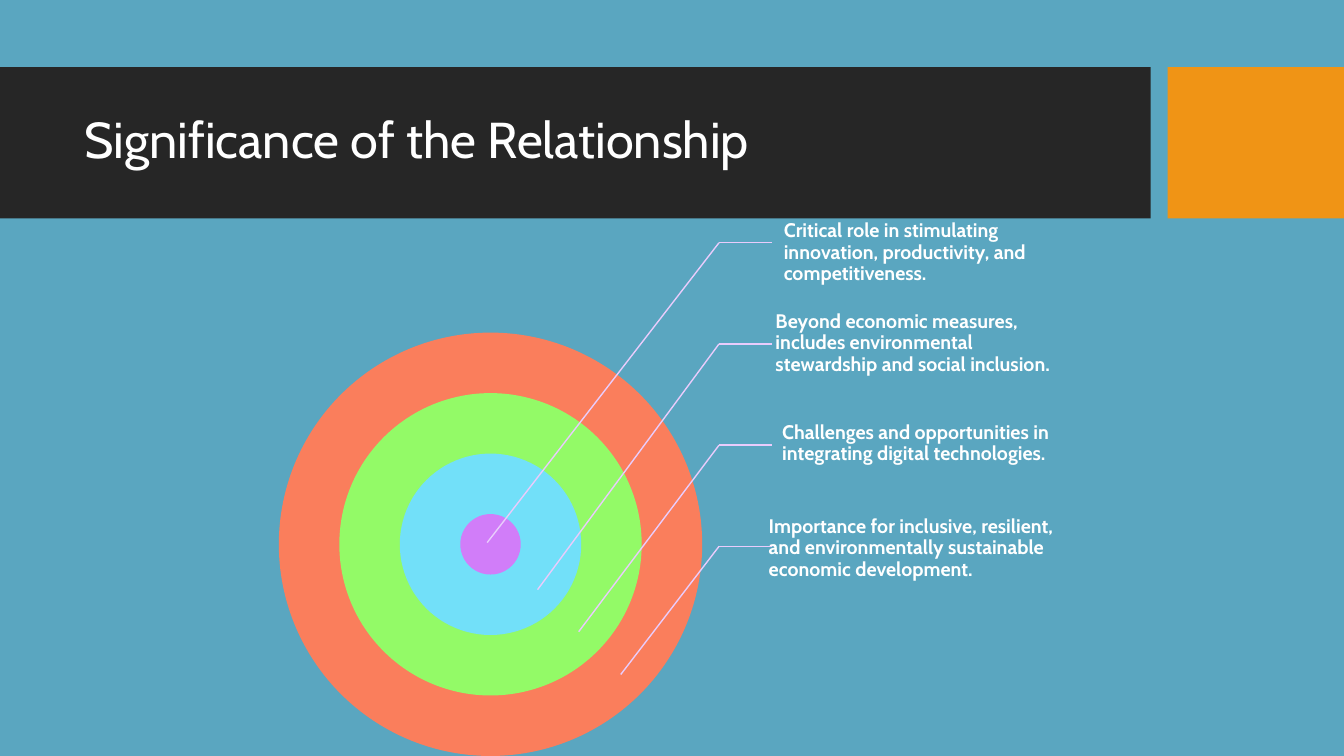
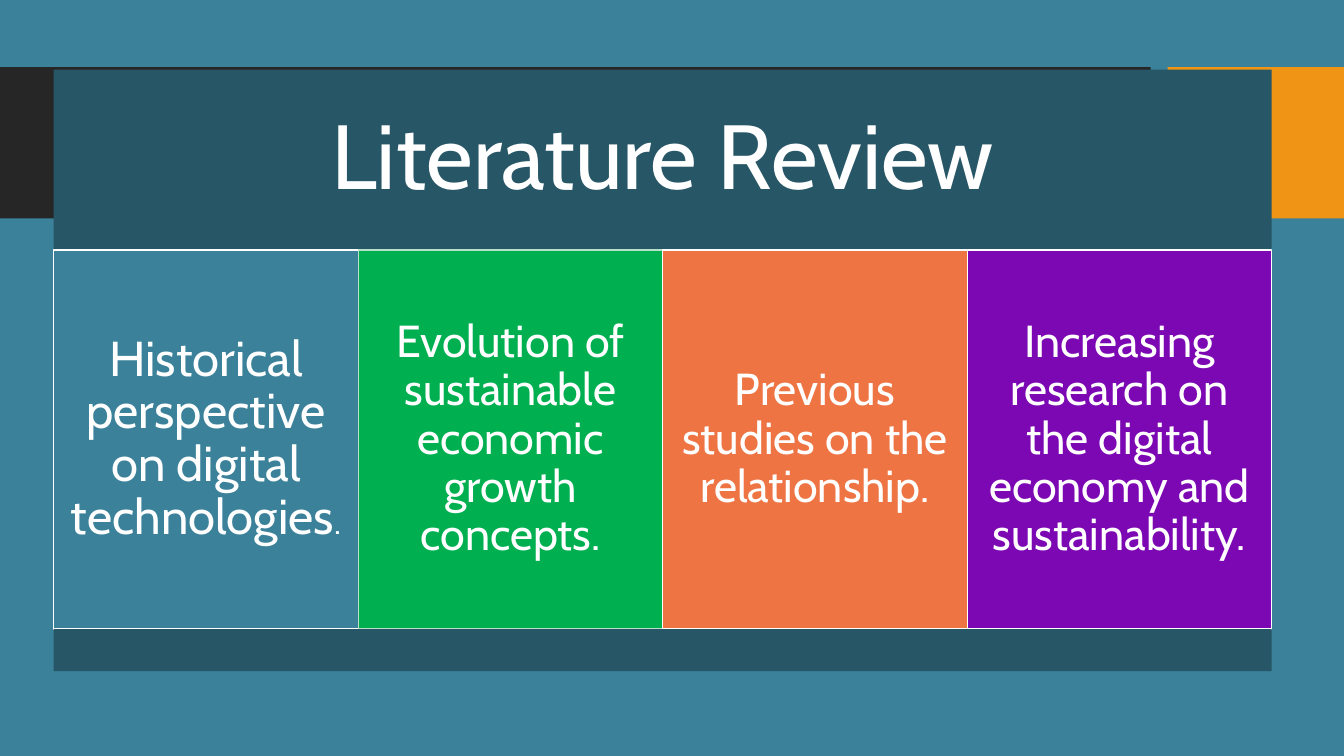
"""Build two slides: a ring diagram with callouts and a four-column panel."""
from dataclasses import dataclass

from lxml import etree
from pptx import Presentation
from pptx import util as u
from pptx.dml.color import RGBColor
from pptx.enum import shapes, text
from pptx.oxml.ns import qn

COLUMNS, ROWS = 160, 90
CELL = u.Inches(1) / 12


@dataclass(frozen=True)
class Theme:
    """Colours, font and type sizes shared by the slides."""
    font: str = "Cabin"
    white: str = "FFFFFF"
    band: str = "262626"
    accent: str = "F09415"
    sky: str = "5AA6C0"
    teal: str = "3A8199"
    deep_teal: str = "275666"
    green: str = "00B050"
    pale_green: str = "B6E0C7"
    orange: str = "EE7444"
    purple: str = "7C08B3"
    leader: str = "E9CCFC"
    rings: tuple = ("FA7E5C", "93FA67", "72E0F9", "D17DF9")
    title_size: int = 36
    label_size: int = 14
    header_size: int = 65
    first_column_size: int = 35
    column_size: int = 32
    full_stop_size: int = 24


THEME = Theme()


@dataclass(frozen=True)
class Box:
    """A region measured in grid cells."""
    left: float
    top: float
    width: float
    height: float

    def offset(self, dx, dy, width, height):
        """Return a region offset from this box by grid cells."""
        return Box(self.left + dx, self.top + dy, width, height)

    def share(self, x, y, width, height):
        """Return a region given as shares of this box."""
        return self.offset(x * self.width, y * self.height,
                           width * self.width, height * self.height)

    def emu(self):
        """Return left, top, width and height in slide units."""
        return [round(side * CELL)
                for side in (self.left, self.top, self.width, self.height)]


def rgb(colour):
    """Return a colour object for a hex string."""
    return RGBColor.from_string(colour)


def add_block(slide, box, fill, outline=None, kind=shapes.MSO_SHAPE.RECTANGLE):
    """Add a flat filled shape, outlined on request."""
    block = slide.shapes.add_shape(kind, *box.emu())
    block.shadow.inherit = False
    block.fill.solid()
    block.fill.fore_color.rgb = rgb(fill)
    if outline:
        block.line.color.rgb = rgb(outline)
        block.line.width = u.Pt(1)
    else:
        block.line.fill.background()
    return block


def write(shape, *runs, bold=False, align=text.PP_ALIGN.LEFT,
          insets=(0.1, 0.05, 0.1, 0.05)):
    """Write (wording, size) runs as one middle-anchored paragraph."""
    frame = shape.text_frame
    frame.word_wrap = True
    frame.vertical_anchor = text.MSO_ANCHOR.MIDDLE
    (frame.margin_left, frame.margin_top,
     frame.margin_right, frame.margin_bottom) = map(u.Inches, insets)
    paragraph = frame.paragraphs[0]
    paragraph.alignment = align
    paragraph.line_spacing = 0.9
    for wording, size in runs:
        run = paragraph.add_run()
        run.text = wording
        run.font.name = THEME.font
        run.font.size = u.Pt(size)
        run.font.bold = bold
        run.font.color.rgb = rgb(THEME.white)


def add_leader(slide, start, end):
    """Draw a thin straight line between two grid points."""
    points = [round(value * CELL) for value in (*start, *end)]
    leader = slide.shapes.add_connector(shapes.MSO_CONNECTOR.STRAIGHT, *points)
    leader.line.color.rgb = rgb(THEME.leader)
    leader.line.width = u.Pt(1)
    etree.SubElement(leader._element.spPr, qn("a:effectLst"))


def new_slide(deck, background):
    """Add a blank slide with its background and the shared bands."""
    slide = deck.slides.add_slide(deck.slide_layouts[6])
    slide.background.fill.solid()
    slide.background.fill.fore_color.rgb = rgb(background)
    add_block(slide, Box(0, 8, 137, 18), THEME.band)
    add_block(slide, Box(139, 8, 21, 18), THEME.accent)
    return slide


def add_title(slide, box, wording):
    """Place the slide title on the dark band."""
    title = slide.shapes.add_textbox(*box.emu())
    write(title, (wording, THEME.title_size))


def add_rings(slide, box):
    """Nest evenly stepped circles around the centre of a square box."""
    step = box.width / 7
    for index, colour in enumerate(THEME.rings):
        inset, size = index * step, box.width - 2 * index * step
        add_block(slide, box.offset(inset, inset, size, size), colour,
                  kind=shapes.MSO_SHAPE.OVAL)


def add_callouts(slide, box, callouts):
    """Place labels with bent leaders that reach into the rings."""
    for index, (wording, label, target) in enumerate(callouts):
        elbow = (box.left + 52.4, box.top + 4.9 + 12.05 * index)
        caption = slide.shapes.add_textbox(*box.offset(*label, 12).emu())
        write(caption, (wording, THEME.label_size), bold=True,
              insets=(0.11, 0.02, 0.02, 0.02))
        add_leader(slide, elbow, (elbow[0] + 6.3, elbow[1]))
        add_leader(slide, elbow, (box.left + target[0], box.top + target[1]))


def add_review_panel(slide, box, heading, columns):
    """Stack a heading, equal columns and a foot band in the box."""
    centre = text.PP_ALIGN.CENTER
    header = add_block(slide, box.share(0, 0, 1, 0.3), THEME.deep_teal)
    write(header, (heading, THEME.header_size), align=centre,
          insets=(0.27,) * 4)
    width = 1 / len(columns)
    for index, (fill, outline, inset, runs) in enumerate(columns):
        column = add_block(slide, box.share(index * width, 0.3, width, 0.63),
                           fill, outline)
        write(column, *runs, align=centre, insets=(inset,) * 4)
    add_block(slide, box.share(0, 0.93, 1, 0.07), THEME.deep_teal)


def significance_slide(deck):
    """Build the slide of rings and callouts."""
    slide = new_slide(deck, THEME.sky)
    add_title(slide, Box(8.9, 9.8, 126.1, 14.2),
              "Significance of the Relationship")
    diagram = Box(33.2, 24, 96, 66)
    add_rings(slide, diagram.offset(0, 15.6, 50.4, 50.4))
    add_callouts(slide, diagram, [
        ("Critical role in stimulating innovation, productivity, and "
         "competitiveness.", (58.8, 0.1, 36.2), (24.8, 40.6)),
        ("Beyond economic measures, includes environmental stewardship and "
         "social inclusion.", (57.8, 10.9, 37.3), (30.8, 46.2)),
        ("Challenges and opportunities in integrating digital technologies.",
         (58.6, 22.8, 36.2), (35.7, 51.2)),
        ("Importance for inclusive, resilient, and environmentally "
         "sustainable economic development.", (57, 35.3, 38.8), (40.7, 56.3)),
    ])


def literature_slide(deck):
    """Build the slide of the four-column review panel."""
    slide = new_slide(deck, THEME.teal)
    size = THEME.column_size
    add_review_panel(slide, Box(6.4, 8.3, 145, 71.6), "Literature Review", [
        (THEME.teal, THEME.white, 0.15,
         [("Historical perspective on digital technologies",
           THEME.first_column_size), (".", THEME.full_stop_size)]),
        (THEME.green, THEME.pale_green, 0.13,
         [("Evolution of sustainable economic growth concepts.", size)]),
        (THEME.orange, THEME.white, 0.13,
         [("Previous studies on the relationship.", size)]),
        (THEME.purple, THEME.white, 0.13,
         [("Increasing research on the digital economy and sustainability.",
           size)]),
    ])


def main():
    """Build and save the deck."""
    deck = Presentation()
    deck.slide_width = round(COLUMNS * CELL)
    deck.slide_height = round(ROWS * CELL)
    significance_slide(deck)
    literature_slide(deck)
    deck.save("out.pptx")


if __name__ == "__main__":
    main()
